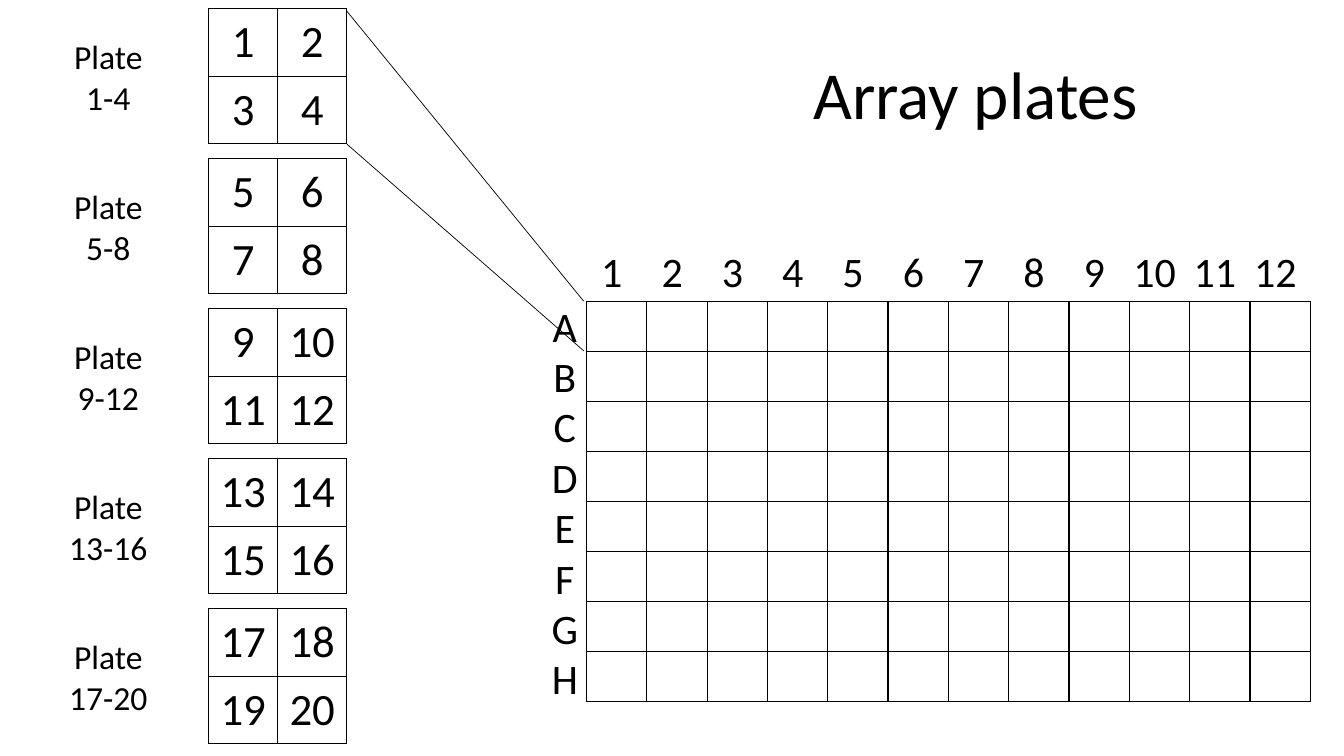
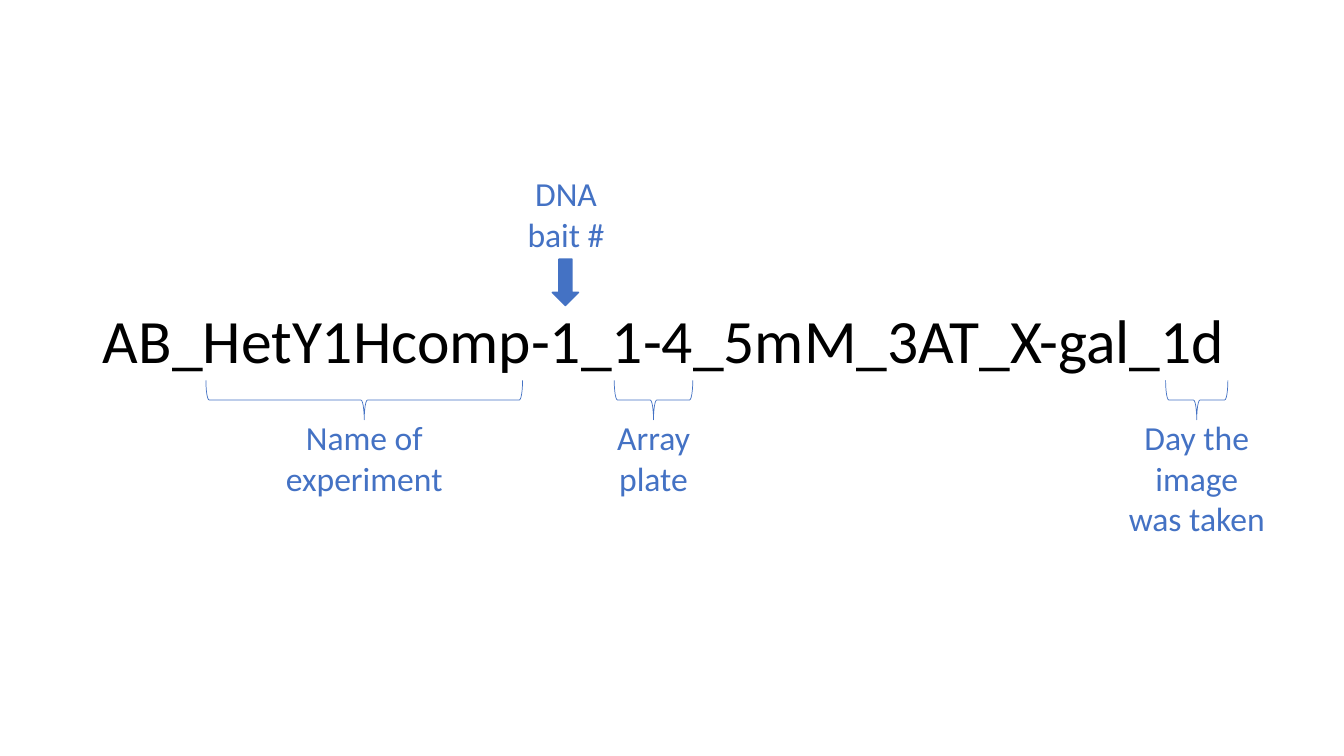
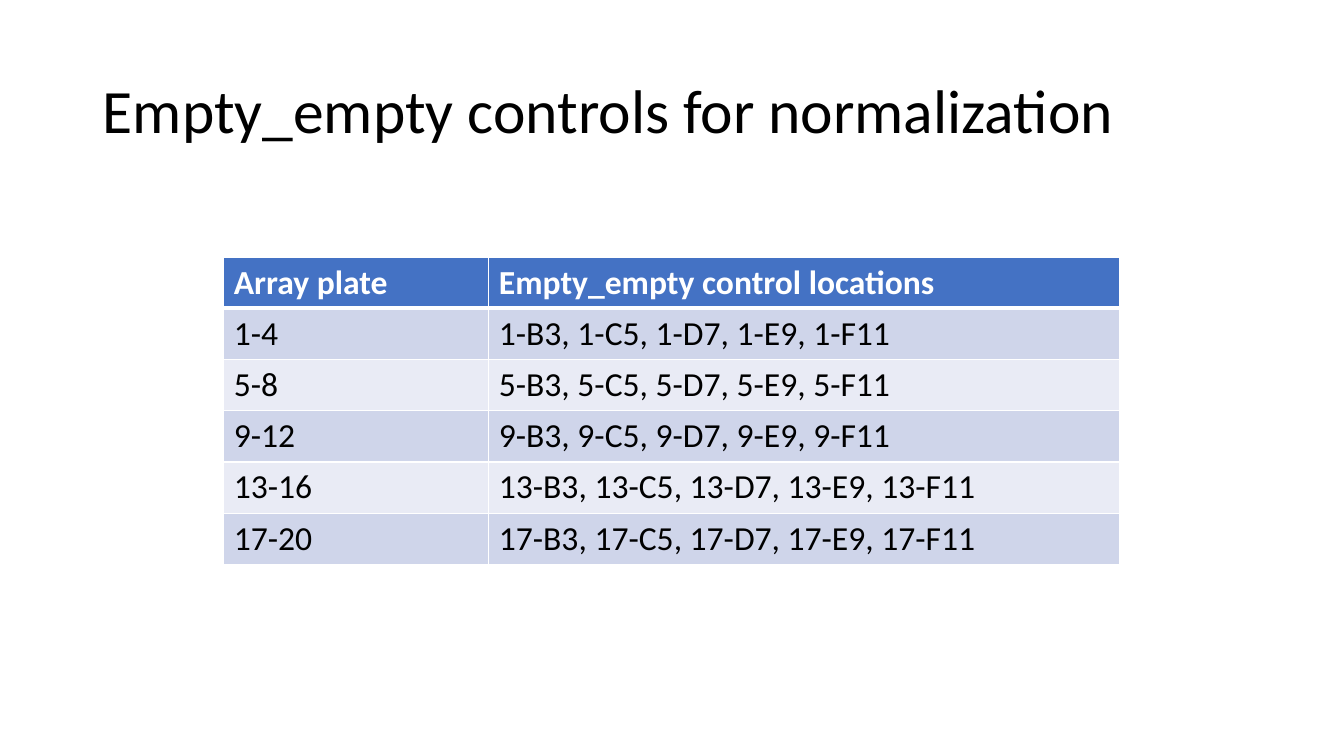
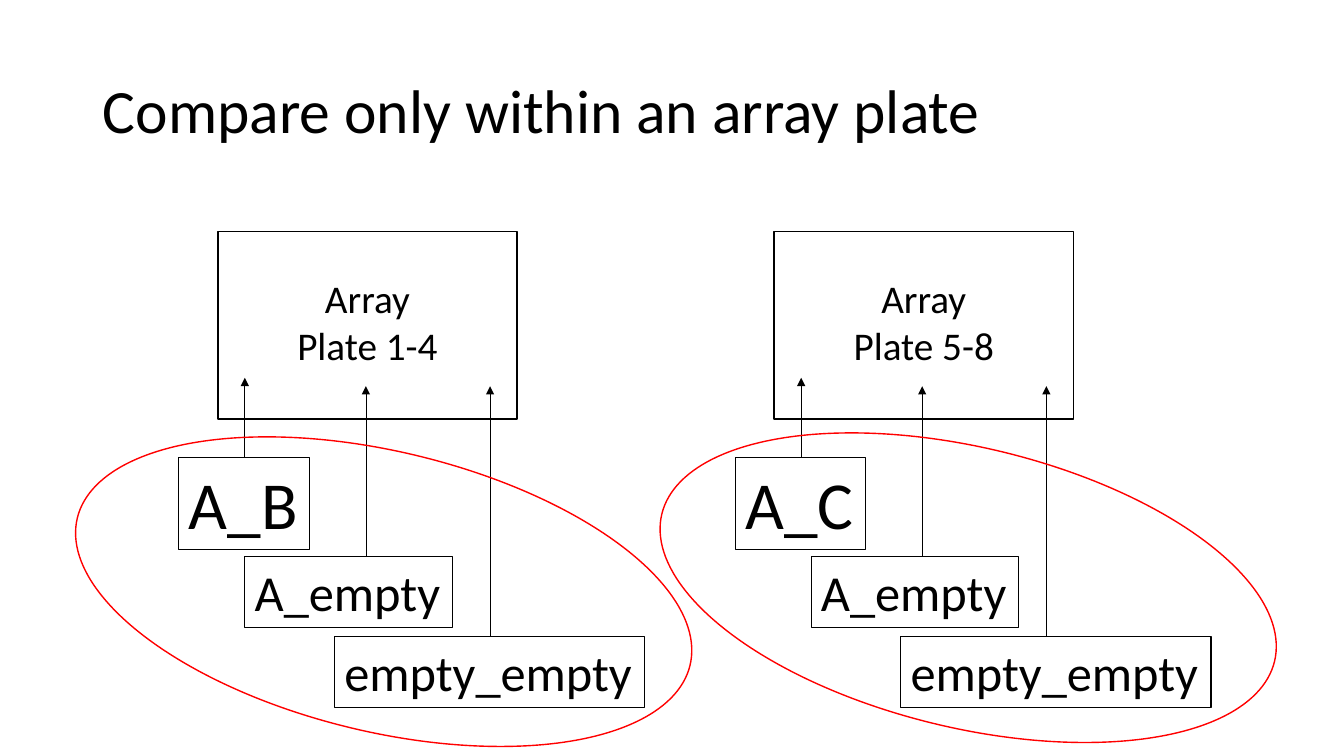
import pptx
import pptx.dml.color
import pptx.enum.shapes
import pptx.enum.text
import pptx.oxml
import pptx.oxml.ns
import pptx.util

Cm = pptx.util.Cm
Pt = pptx.util.Pt
RGBColor = pptx.dml.color.RGBColor
MSO_SHAPE = pptx.enum.shapes.MSO_SHAPE
PP_ALIGN = pptx.enum.text.PP_ALIGN
MSO_ANCHOR = pptx.enum.text.MSO_ANCHOR
MSO_AUTO_SIZE = pptx.enum.text.MSO_AUTO_SIZE

BLACK = RGBColor(0x00, 0x00, 0x00)
WHITE = RGBColor(0xFF, 0xFF, 0xFF)
BLUE = RGBColor(0x44, 0x72, 0xC4)
RED = RGBColor(0xFF, 0x00, 0x00)
BANDS = (RGBColor(0xCF, 0xD5, 0xEA), RGBColor(0xE9, 0xEB, 0xF5))

FONT = "Calibri"
TITLE_BOX = (2.34, 1.02, 29.21, 3.68)
PLATES = ("1-4", "5-8", "9-12", "13-16", "17-20")
CONTROL_WELLS = ("B3", "C5", "D7", "E9", "F11")


def cm(values):
    """Turn plain numbers into centimetre lengths."""
    return [Cm(v) for v in values]


def assign(obj, **formats):
    """Set attributes from a dict of format values."""
    for name, value in formats.items():
        setattr(obj, name, value)


def add_xml(parent, tag, body="", attrs=""):
    """Append a DrawingML element to a parent element."""
    ns = pptx.oxml.ns.nsdecls("a")
    parent.append(pptx.oxml.parse_xml(f"<a:{tag} {ns} {attrs}>{body}</a:{tag}>"))


def write(tf, lines, size, color=BLACK, bold=False, **para):
    """Write one paragraph per line into a text frame."""
    for i, line in enumerate(lines):
        p = tf.add_paragraph() if i else tf.paragraphs[0]
        assign(p, **para)
        r = p.add_run()
        r.text = line
        assign(r.font, name=FONT, size=Pt(size), bold=bold)
        r.font.color.rgb = color


def add_titled_slide(prs, title, box=TITLE_BOX, size=44, spacing=0.9,
                     anchor=MSO_ANCHOR.MIDDLE):
    """Add a title-only slide with a formatted title."""
    slide = prs.slides.add_slide(prs.slide_layouts[5])
    sp = slide.shapes.title
    assign(sp, **dict(zip(("left", "top", "width", "height"), cm(box))))
    assign(sp.text_frame, word_wrap=True, auto_size=MSO_AUTO_SIZE.NONE,
           vertical_anchor=anchor)
    write(sp.text_frame, [title], size, alignment=PP_ALIGN.LEFT, line_spacing=spacing)
    return slide


def add_text(slide, box, lines, size, color=BLACK, wrap=True, align=PP_ALIGN.CENTER):
    """Add a text box that grows with its text."""
    sp = slide.shapes.add_textbox(*cm(box))
    assign(sp.text_frame, word_wrap=wrap, auto_size=MSO_AUTO_SIZE.SHAPE_TO_FIT_TEXT)
    write(sp.text_frame, lines, size, color, alignment=align)
    return sp


def add_outline(slide, kind, box, color, width=1, rotation=0):
    """Add an unfilled preset shape."""
    sp = slide.shapes.add_shape(kind, *cm(box))
    sp.shadow.inherit = False
    sp.fill.background()
    sp.line.color.rgb = color
    assign(sp.line, width=Pt(width))
    sp.rotation = rotation
    return sp


def add_line(slide, start, end, arrow=False):
    """Add a thin straight line, with an arrowhead at its end if asked."""
    line = slide.shapes.add_connector(
        pptx.enum.shapes.MSO_CONNECTOR.STRAIGHT, *cm(start + end))
    line.line.color.rgb = BLACK
    line.line.width = Pt(0.5)
    if arrow:
        add_xml(line.line._get_or_add_ln(), "tailEnd", attrs='type="triangle"')
    add_xml(line._element.spPr, "effectLst")


def add_grid(slide, left, top, widths, height, rows):
    """Add an unstyled table of equal rows."""
    table = slide.shapes.add_table(
        rows, len(widths), *cm((left, top, sum(widths), height * rows))).table
    assign(table, first_row=False, horz_banding=False)
    for column, width in zip(table.columns, widths):
        column.width = Cm(width)
    for row in table.rows:
        row.height = Cm(height)
    return table


def format_cell(cell, border, fill=None, bottom=1):
    """Draw the four borders of a cell and set its fill."""
    tcPr = cell._tc.get_or_add_tcPr()
    for side in "LRTB":
        width = Pt(bottom if side == "B" else 1)
        add_xml(tcPr, f"ln{side}",
                f'<a:solidFill><a:srgbClr val="{border}"/></a:solidFill>',
                f'w="{width}"')
    if fill is None:
        cell.fill.background()
    else:
        cell.fill.solid()
        cell.fill.fore_color.rgb = fill


def add_source_plate(slide, index, plate):
    """Add a labelled two-by-two plate at its place in the stack."""
    offset = 3.78 * index
    table = add_grid(slide, 5.26, 0.22 + offset, [1.74] * 2, 1.7, 2)
    for number, cell in enumerate(table.iter_cells(), 4 * index + 1):
        format_cell(cell, BLACK)
        cell.vertical_anchor = MSO_ANCHOR.MIDDLE
        write(cell.text_frame, [str(number)], 32, alignment=PP_ALIGN.CENTER)
    add_text(slide, (1.47, 0.79 + offset, 2.52, 2.31), ["Plate", plate], 24, wrap=False)


def add_column_numbers(slide, count, pitch):
    """Number the wells across the top with centred tab stops."""
    text = "".join(f"\t{n}" for n in range(1, count + 1))
    sp = add_text(slide, (14.71, 6.05, 18.52, 1.55), [text], 30, align=PP_ALIGN.LEFT)
    stops = "".join(f'<a:tab pos="{Cm(0.46 + pitch * i)}" algn="ctr"/>'
                    for i in range(count))
    add_xml(sp.text_frame.paragraphs[0]._p.get_or_add_pPr(), "tabLst", stops)


def add_array_slide(prs):
    """Show how the plates map onto the wells."""
    slide = add_titled_slide(prs, "Array plates", (20.24, 1.17, 9.4, 2.31), 48, 1)
    pitch = 1.52
    wells = add_grid(slide, 14.78, 7.6, [pitch] * 12, 1.26, 8)
    for cell in wells.iter_cells():
        format_cell(cell, BLACK)
    add_text(slide, (13.64, 7.44, 1.19, 10.52), "ABCDEFGH", 30, wrap=False)
    add_column_numbers(slide, 12, pitch)
    add_line(slide, (14.71, 8.84), (8.74, 3.63))
    add_line(slide, (14.71, 7.59), (8.74, 0.28))
    for index, plate in enumerate(PLATES):
        add_source_plate(slide, index, plate)


def add_brace_label(slide, center, span, label, width, height=2.31):
    """Add a brace under part of the name with its label below."""
    depth, middle = 0.99, 10.08
    box = (center - depth / 2, middle - span / 2, depth, span)
    add_outline(slide, MSO_SHAPE.LEFT_BRACE, box, BLUE, 0.5, 270)
    add_text(slide, (center - width / 2, 10.39, width, height), [label], 24, BLUE)


def add_naming_slide(prs):
    """Explain the parts of an image name."""
    slide = add_titled_slide(prs, "AB_HetY1Hcomp-1_1-4_5mM_3AT_X-gal_1d",
                             (2.34, 7.7, 29.21, 2.9), anchor=MSO_ANCHOR.TOP)
    add_text(slide, (12.78, 4.24, 2.97, 2.31), ["DNA bait #"], 24, BLUE)
    arrow = add_outline(slide, MSO_SHAPE.DOWN_ARROW, (13.92, 6.53, 0.66, 1.17), BLUE)
    arrow.fill.solid()
    arrow.fill.fore_color.rgb = BLUE
    add_brace_label(slide, 9.18, 7.98, "Name of experiment", 5.99)
    add_brace_label(slide, 16.47, 1.98, "Array plate", 3.38)
    add_brace_label(slide, 30.16, 1.57, "Day the image was taken", 4.06, 3.33)


def add_controls_slide(prs):
    """List the control wells of each plate."""
    slide = add_titled_slide(prs, "Empty_empty controls for normalization")
    rows = [("Array plate", "Empty_empty control locations")]
    for plate in PLATES:
        first = plate.split("-")[0]
        rows.append((plate, ", ".join(f"{first}-{well}" for well in CONTROL_WELLS)))
    table = add_grid(slide, 5.64, 6.48, [6.68, 15.9], 1.29, len(rows))
    for i, row in enumerate(rows):
        header = i == 0
        for j, value in enumerate(row):
            cell = table.cell(i, j)
            format_cell(cell, WHITE, BLUE if header else BANDS[(i - 1) % 2],
                        3 if header else 1)
            write(cell.text_frame, [value], 24, WHITE if header else BLACK, header)


def add_comparison(slide, left, plate, sample, shift, ellipse):
    """Add one array plate with the three samples compared on it."""
    add_outline(slide, MSO_SHAPE.RECTANGLE, (left, 5.84, 7.54, 4.72), BLACK)
    add_text(slide, (left + 1.65, 6.78, 4.24, 2.64), [f"Array Plate {plate}"], 28)
    samples = (
        (sample, 48, (left - 0.98, 11.53, 3.28, 2.31), 0.68, 9.52),
        ("A_empty", 36, (left + 0.68 + shift, 14.02, 5.23, 1.8), 3.73, 9.73),
        ("empty_empty", 36, (left + 2.94 + shift, 16.03, 7.82, 1.8), 6.86, 9.73),
    )
    for label, size, box, arrow_x, tip in samples:
        sp = add_text(slide, box, [label], size, wrap=False, align=PP_ALIGN.LEFT)
        sp.line.color.rgb = BLACK
        sp.line.width = Pt(0.75)
        x = left + arrow_x
        add_line(slide, (x, box[1]), (x, tip), arrow=True)
    add_outline(slide, MSO_SHAPE.OVAL, ellipse + (15.88, 7.06), RED, rotation=13.5)


def add_compare_slide(prs):
    """Show that samples are compared within one plate."""
    slide = add_titled_slide(prs, "Compare only within an array plate")
    add_comparison(slide, 5.49, "1-4", "A_B", 0, (1.73, 11.38))
    add_comparison(slide, 19.51, "5-8", "A_C", 0.25, (16.46, 11.28))


def main():
    """Build and save the presentation."""
    prs = pptx.Presentation()
    assign(prs, slide_width=Cm(33.87), slide_height=Cm(19.05))
    add_array_slide(prs)
    add_naming_slide(prs)
    add_controls_slide(prs)
    add_compare_slide(prs)
    prs.save("out.pptx")


main()
